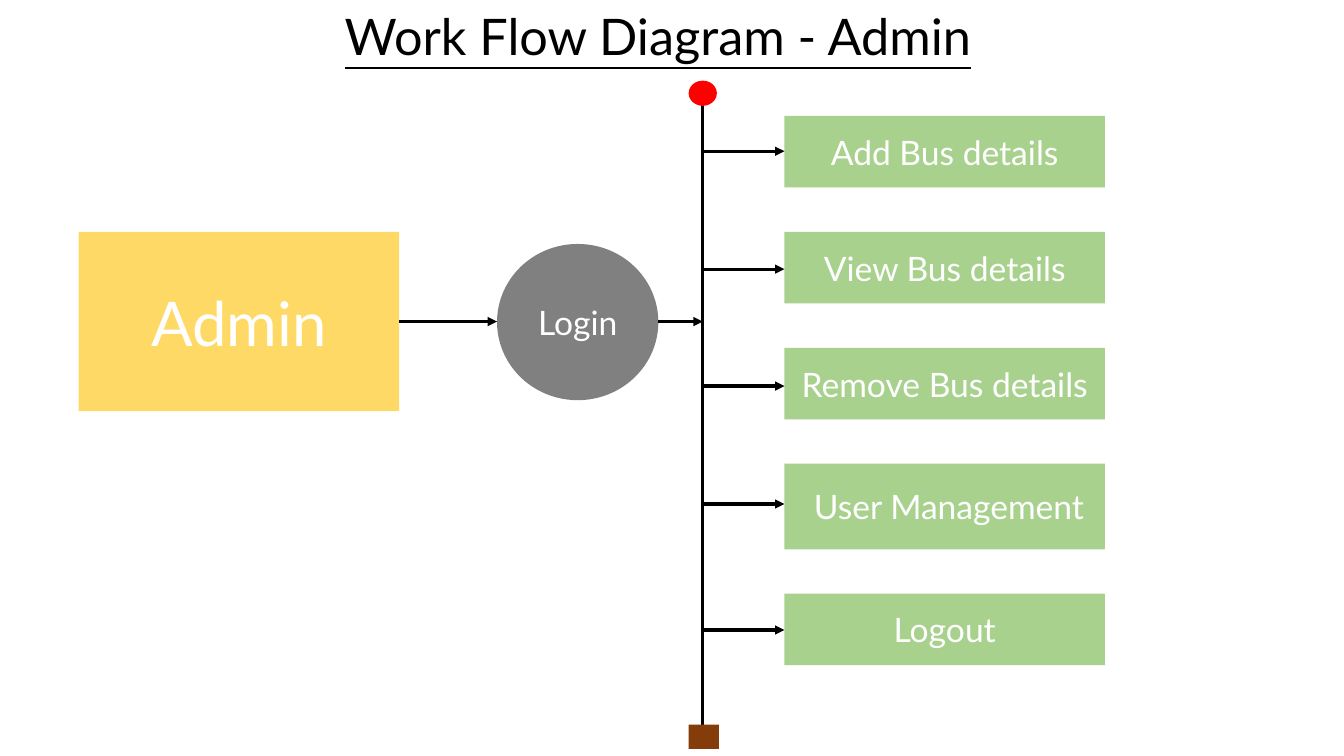
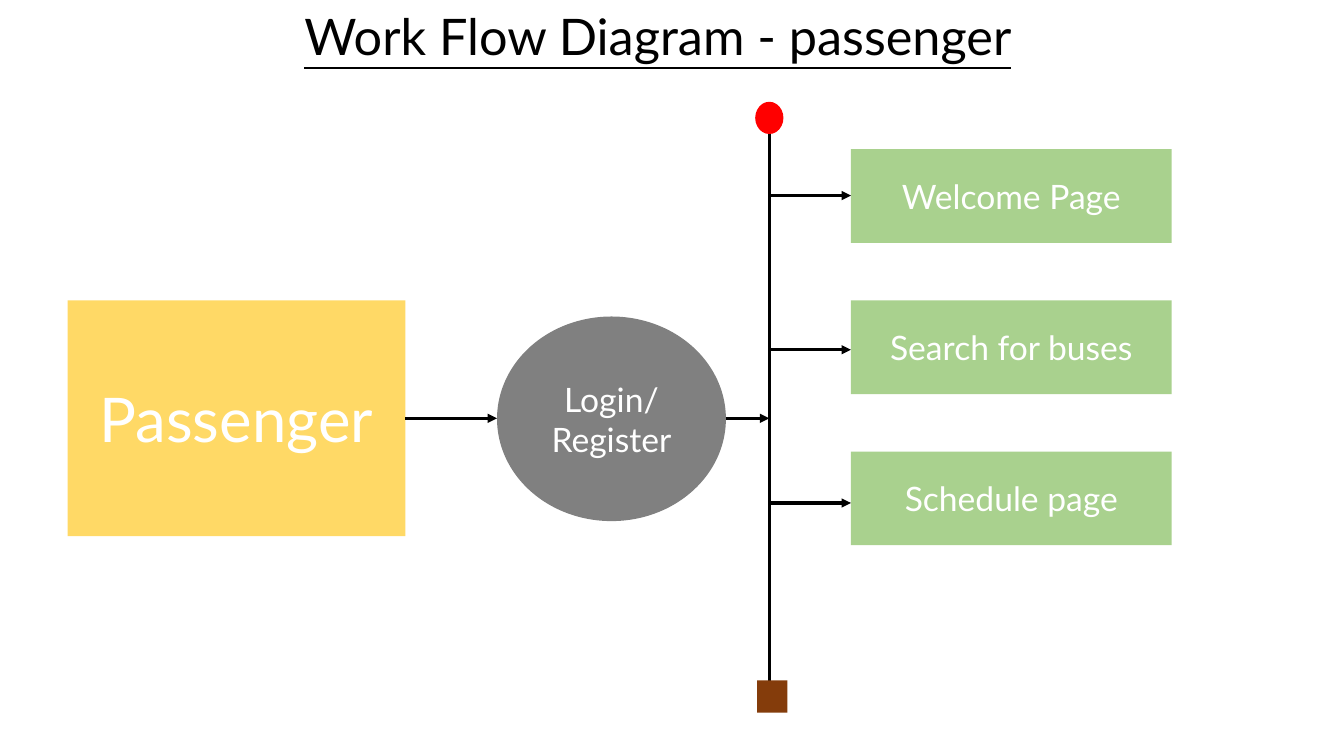
from pptx import Presentation
from pptx.dml.color import RGBColor
from pptx.enum.shapes import MSO_CONNECTOR as LINE, MSO_SHAPE as SHAPE
from pptx.enum.text import MSO_ANCHOR as ANCHOR, MSO_AUTO_SIZE as FIT, PP_ALIGN as ALIGN
from pptx.oxml.ns import qn
from pptx.util import Inches, Pt
from lxml.etree import SubElement

# Shared style
COLORS = dict(actor="FFD966", login="808080", step="A9D18E", start="FF0000",
              end="843C0B", line="000000", title="000000", label="FFFFFF")
TITLE = dict(name="Lato", size=Pt(36), underline=True)
ACTOR = dict(name="Lato", size=Pt(44))
LABEL = dict(name="Lato", size=Pt(24))
STEP_W = 3.18
BRANCH_W = 0.81  # from the trunk to the steps


def rgb(name):
    return RGBColor.from_string(COLORS[name])


def write(tf, text, style, color):
    """Put centred text in a frame, one paragraph per line."""
    tf.word_wrap = True
    for i, line in enumerate(text.split("\n")):
        p = tf.add_paragraph() if i else tf.paragraphs[0]
        p.alignment = ALIGN.CENTER
        r = p.add_run()
        r.text = line
        for key, value in style.items():
            setattr(r.font, key, value)
        r.font.color.rgb = rgb(color)


def add_title(s, text):
    tf = s.shapes.add_textbox(0, 0, Inches(13.05), Inches(0.71)).text_frame
    write(tf, text, TITLE, "title")
    tf.auto_size = FIT.SHAPE_TO_FIT_TEXT


def add_node(s, kind, box, color, text="", style=LABEL):
    sp = s.shapes.add_shape(kind, *map(Inches, box))
    sp.shadow.inherit = False
    sp.fill.solid()
    sp.fill.fore_color.rgb = rgb(color)
    sp.line.fill.background()
    if text:
        sp.text_frame.vertical_anchor = ANCHOR.MIDDLE
        write(sp.text_frame, text, style, "label")


def add_line(s, x1, y1, x2, y2, arrow=True):
    c = s.shapes.add_connector(LINE.STRAIGHT, *map(Inches, (x1, y1, x2, y2)))
    c.line.color.rgb = rgb("line")
    c.line.width = Pt(2.25)
    spPr = c.element.spPr
    if arrow:
        SubElement(spPr.find(qn("a:ln")), qn("a:tailEnd"), type="triangle")
    SubElement(spPr, qn("a:effectLst"))


def add_workflow(prs, title, actor, login, trunk, start, end, top, gap, steps):
    """actor and login are (text, box); steps are (text, height, arrow y)."""
    s = prs.slides.add_slide(prs.slide_layouts[6])
    add_title(s, title)

    # Actor and login
    (actor_text, actor_box), (login_text, login_box) = actor, login
    add_node(s, SHAPE.RECTANGLE, actor_box, "actor", actor_text, ACTOR)
    add_node(s, SHAPE.OVAL, login_box, "login", login_text)
    mid = actor_box[1] + actor_box[3] / 2
    add_line(s, actor_box[0] + actor_box[2], mid, login_box[0], mid)
    add_line(s, login_box[0] + login_box[2], mid, trunk, mid)

    # Trunk with its start and end marks
    add_line(s, trunk, start[1] + 0.2, trunk, end[1] + 0.1, arrow=False)
    add_node(s, SHAPE.OVAL, start, "start")
    add_node(s, SHAPE.RECTANGLE, end, "end")

    # Steps, stacked with an equal gap
    left = trunk + BRANCH_W
    for text, height, arrow_y in steps:
        add_node(s, SHAPE.RECTANGLE, (left, top, STEP_W, height), "step", text)
        add_line(s, trunk, arrow_y, left, arrow_y)
        top += height + gap


def main():
    prs = Presentation()
    prs.slide_width, prs.slide_height = Inches(13.33), Inches(7.5)
    add_workflow(
        prs, "Work Flow Diagram - Admin",
        actor=("Admin", (0.78, 2.3, 3.18, 1.78)),
        login=("Login", (4.93, 2.42, 1.6, 1.55)),
        trunk=6.97, start=(6.83, 0.8, 0.28, 0.25), end=(6.83, 7.19, 0.3, 0.24),
        top=1.15, gap=0.44,
        steps=[("Add Bus details", 0.71, 1.5),
               ("View Bus details", 0.71, 2.67),
               ("Remove Bus details", 0.71, 3.83),
               (" User Management", 0.85, 5),
               ("Logout", 0.71, 6.25)])
    add_workflow(
        prs, "Work Flow Diagram - passenger",
        actor=("Passenger", (0.67, 2.98, 3.35, 2.34)),
        login=("Login/\nRegister", (4.93, 3.14, 2.27, 2.03)),
        trunk=7.63, start=(7.49, 1.01, 0.28, 0.32), end=(7.51, 6.75, 0.3, 0.32),
        top=1.48, gap=0.57,
        steps=[("Welcome Page", 0.93, 1.94),
               ("Search for buses", 0.93, 3.47),
               ("Schedule page", 0.93, 4.99)])
    prs.save("out.pptx")


if __name__ == "__main__":
    main()
